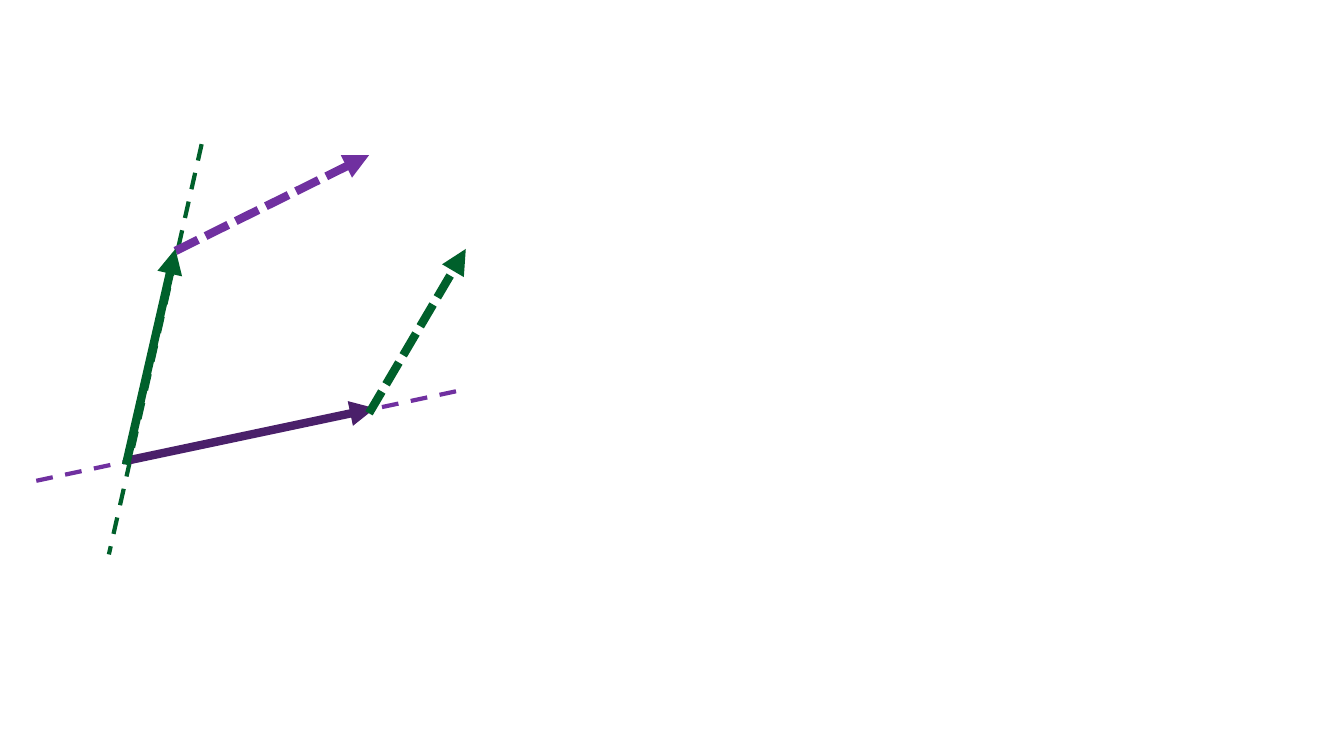
from pptx import Presentation
from pptx.dml.color import RGBColor
from pptx.enum.dml import MSO_LINE_DASH_STYLE
from pptx.enum.shapes import MSO_CONNECTOR
from pptx.oxml.ns import qn
from pptx.util import Inches, Pt
from lxml.etree import SubElement

GREEN, PURPLE, DEEP_PURPLE = "00602B", "7030A0", "4A206A"
DASH, SHORT_DASH = MSO_LINE_DASH_STYLE.DASH, MSO_LINE_DASH_STYLE.SQUARE_DOT


def rgb(value):
    return RGBColor.from_string(value)


class VectorSlide:
    cell = Inches(0.1)
    axis_format = {"width": Pt(3), "dash_style": DASH}
    vector_format = {"width": Pt(6)}
    shifted_format = {"width": Pt(6), "dash_style": SHORT_DASH}

    def __init__(self, prs):
        self.s = prs.slides.add_slide(prs.slide_layouts[6])
        fill = self.s.background.fill
        fill.solid()
        fill.fore_color.rgb = rgb("FFFFFF")

    def group(self):
        return self.s.shapes.add_group_shape().shapes

    def line(self, shapes, start, end, color, line_format):
        ends = [round(n * self.cell) for n in (*start, *end)]
        c = shapes.add_connector(MSO_CONNECTOR.STRAIGHT, *ends)
        c.line.color.rgb = rgb(color)
        for name, value in line_format.items():
            setattr(c.line, name, value)
        SubElement(c._element.spPr, qn("a:effectLst"))
        return c

    def axis(self, shapes, start, end, color):
        self.line(shapes, start, end, color, self.axis_format)

    def vector(self, shapes, start, end, color, shifted=False):
        line_format = self.shifted_format if shifted else self.vector_format
        c = self.line(shapes, start, end, color, line_format)
        SubElement(c.line._get_or_add_ln(), qn("a:tailEnd"), type="triangle")


def main():
    prs = Presentation()
    prs.slide_width, prs.slide_height = Inches(13.33), Inches(7.5)
    slide = VectorSlide(prs)
    diagram = slide.group()
    slide.axis(diagram, (3.6, 47.7), (45.8, 38.7), PURPLE)
    slide.axis(diagram, (20, 14.3), (10.8, 55), GREEN)
    slide.vector(diagram, (12.6, 45.7), (37.2, 40.5), DEEP_PURPLE)
    slide.vector(diagram, (17.4, 24.9), (36.6, 15.4), PURPLE, shifted=True)
    slide.vector(diagram, (36.6, 41), (46.2, 24.7), GREEN, shifted=True)
    slide.vector(slide.s.shapes, (12.5, 46.1), (17.4, 24.7), GREEN)
    prs.save("out.pptx")


if __name__ == "__main__":
    main()
